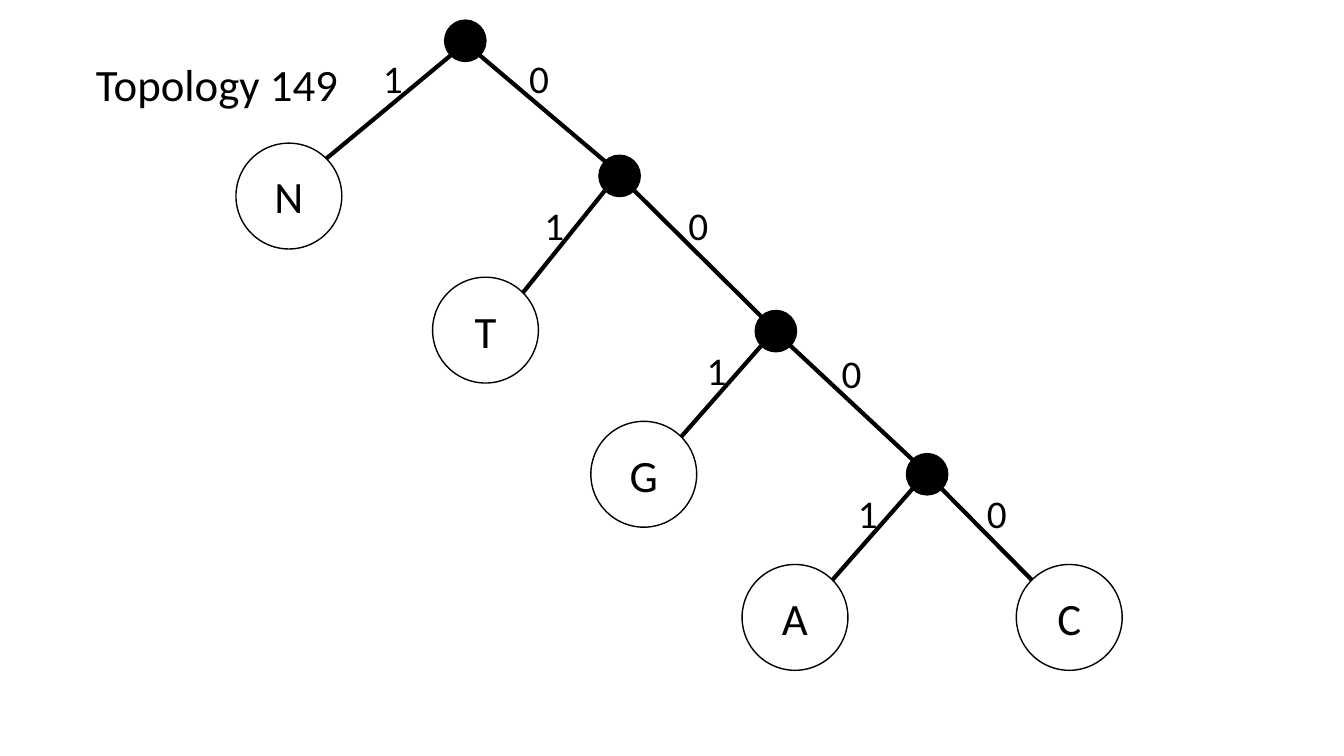
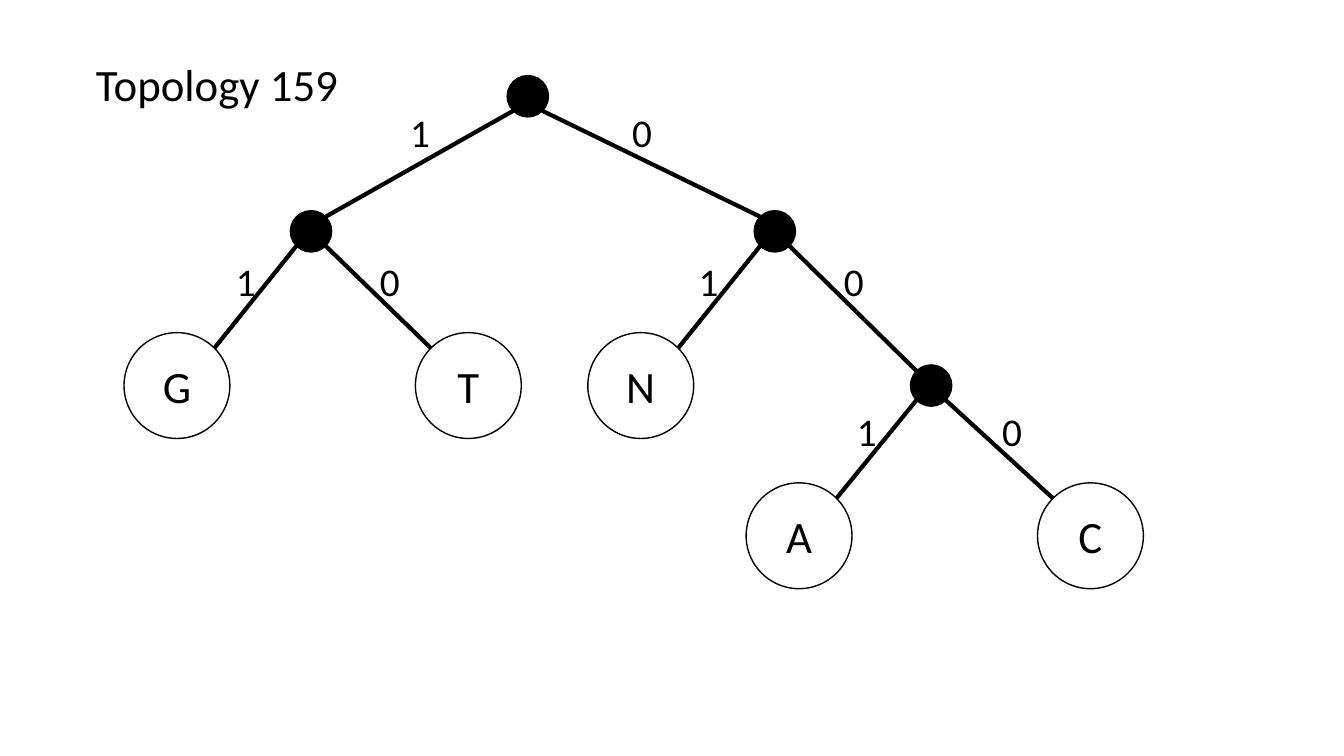
"""Build two slides that show binary coding trees with labelled branches."""

import dataclasses
import math
import typing

import lxml.etree
import pptx
import pptx.dml.color
import pptx.enum.shapes
import pptx.enum.text
import pptx.oxml.ns
import pptx.slide
import pptx.text.text
import pptx.util

Inches = pptx.util.Inches
COLORS = {"ink": "000000"}
INK = pptx.dml.color.RGBColor.from_string(COLORS["ink"])
LARGE_FONT = {"name": "Calibri", "size": pptx.util.Pt(32), "bold": False}
LABEL_FONT = {"name": "Calibri", "size": pptx.util.Pt(28), "bold": False}
TITLE_BOX = {
    "left": Inches(0.85),
    "top": Inches(0.51),
    "width": Inches(2.77),
    "height": Inches(0.64),
}
TOP_FRAME = {
    "word_wrap": True,
    "auto_size": pptx.enum.text.MSO_AUTO_SIZE.NONE,
    "vertical_anchor": pptx.enum.text.MSO_ANCHOR.TOP,
}
MIDDLE_FRAME = TOP_FRAME | {"vertical_anchor": pptx.enum.text.MSO_ANCHOR.MIDDLE}
LEFT = pptx.enum.text.PP_ALIGN.LEFT
CENTER = pptx.enum.text.PP_ALIGN.CENTER
DOT_SIZE = 0.41
LEAF_SIZE = 1.05
LABEL_WIDTH, LABEL_HEIGHT = 0.39, 0.57


@dataclasses.dataclass(frozen=True)
class Node:
    left: float
    top: float
    letter: str = ""
    branches: tuple["Branch", ...] = ()

    @property
    def size(self) -> float:
        return LEAF_SIZE if self.letter else DOT_SIZE

    def rim_point(self, across: int, down: int) -> tuple[float, float]:
        radius = self.size / 2
        reach = radius * math.sqrt(0.5)
        return self.left + radius + across * reach, self.top + radius + down * reach


@dataclasses.dataclass(frozen=True)
class Branch:
    label: str
    label_left: float
    label_top: float
    child: Node


@dataclasses.dataclass(frozen=True)
class Topology:
    title: str
    root: Node


TOPOLOGIES = (
    Topology("Topology 149", Node(4.41, 0.2, branches=(
        Branch("1", 3.7, 0.49, Node(2.34, 1.42, "N")),
        Branch("0", 5.15, 0.49, Node(5.94, 1.54, branches=(
            Branch("1", 5.3, 1.95, Node(4.29, 2.75, "T")),
            Branch("0", 6.73, 1.95, Node(7.49, 3.08, branches=(
                Branch("1", 6.91, 3.39, Node(5.86, 4.18, "G")),
                Branch("0", 8.25, 3.42, Node(8.99, 4.5, branches=(
                    Branch("1", 8.41, 4.81, Node(7.36, 5.6, "A")),
                    Branch("0", 9.69, 4.81, Node(10.08, 5.6, "C")),
                ))),
            ))),
        ))),
    ))),
    Topology("Topology 159", Node(5.03, 0.75, branches=(
        Branch("1", 3.97, 1.03, Node(2.88, 2.09, branches=(
            Branch("1", 2.24, 2.5, Node(1.23, 3.3, "G")),
            Branch("0", 3.67, 2.5, Node(4.12, 3.3, "T")),
        ))),
        Branch("0", 6.17, 1.03, Node(7.48, 2.09, branches=(
            Branch("1", 6.83, 2.5, Node(5.83, 3.3, "N")),
            Branch("0", 8.27, 2.5, Node(9.03, 3.62, branches=(
                Branch("1", 8.4, 3.99, Node(7.4, 4.79, "A")),
                Branch("0", 9.84, 3.99, Node(10.29, 4.79, "C")),
            ))),
        ))),
    ))),
)


def apply(target: typing.Any, values: dict[str, typing.Any]) -> None:
    for name, value in values.items():
        setattr(target, name, value)


def write(
    frame: pptx.text.text.TextFrame,
    text: str,
    font: dict[str, typing.Any],
    frame_format: dict[str, typing.Any],
    alignment: pptx.enum.text.PP_ALIGN,
) -> None:
    apply(frame, frame_format)
    paragraph = frame.paragraphs[0]
    paragraph.alignment = alignment
    run = paragraph.add_run()
    run.text = text
    apply(run.font, font)
    run.font.color.rgb = INK


def draw_node(slide: pptx.slide.Slide, node: Node) -> None:
    shape = slide.shapes.add_shape(
        pptx.enum.shapes.MSO_SHAPE.OVAL,
        Inches(node.left), Inches(node.top), Inches(node.size), Inches(node.size),
    )
    shape.shadow.inherit = False
    shape.line.color.rgb = INK
    shape.line.width = pptx.util.Pt(1)
    if node.letter:
        shape.fill.background()
        write(shape.text_frame, node.letter, LARGE_FONT, MIDDLE_FRAME, CENTER)
    else:
        shape.fill.solid()
        shape.fill.fore_color.rgb = INK


def draw_branch(slide: pptx.slide.Slide, parent: Node, branch: Branch) -> None:
    side = 1 if branch.child.left > parent.left else -1
    ends = parent.rim_point(side, 1) + branch.child.rim_point(-side, -1)
    connector = slide.shapes.add_connector(
        pptx.enum.shapes.MSO_CONNECTOR.STRAIGHT, *map(Inches, ends)
    )
    connector.line.color.rgb = INK
    connector.line.width = pptx.util.Pt(3)
    properties = connector._element.spPr
    lxml.etree.SubElement(properties, pptx.oxml.ns.qn("a:effectLst"))
    label = slide.shapes.add_textbox(
        Inches(branch.label_left), Inches(branch.label_top),
        Inches(LABEL_WIDTH), Inches(LABEL_HEIGHT),
    )
    write(label.text_frame, branch.label, LABEL_FONT, TOP_FRAME, LEFT)


def draw_tree(slide: pptx.slide.Slide, node: Node) -> None:
    draw_node(slide, node)
    for branch in node.branches:
        draw_branch(slide, node, branch)
        draw_tree(slide, branch.child)


def main() -> None:
    presentation = pptx.Presentation()
    apply(presentation, {"slide_width": Inches(13.33), "slide_height": Inches(7.5)})
    title_only = presentation.slide_layouts.get_by_name("Title Only")
    for topology in TOPOLOGIES:
        slide = presentation.slides.add_slide(title_only)
        title = slide.shapes.title
        apply(title, TITLE_BOX)
        write(title.text_frame, topology.title, LARGE_FONT, TOP_FRAME, LEFT)
        draw_tree(slide, topology.root)
    presentation.save("out.pptx")


if __name__ == "__main__":
    main()
